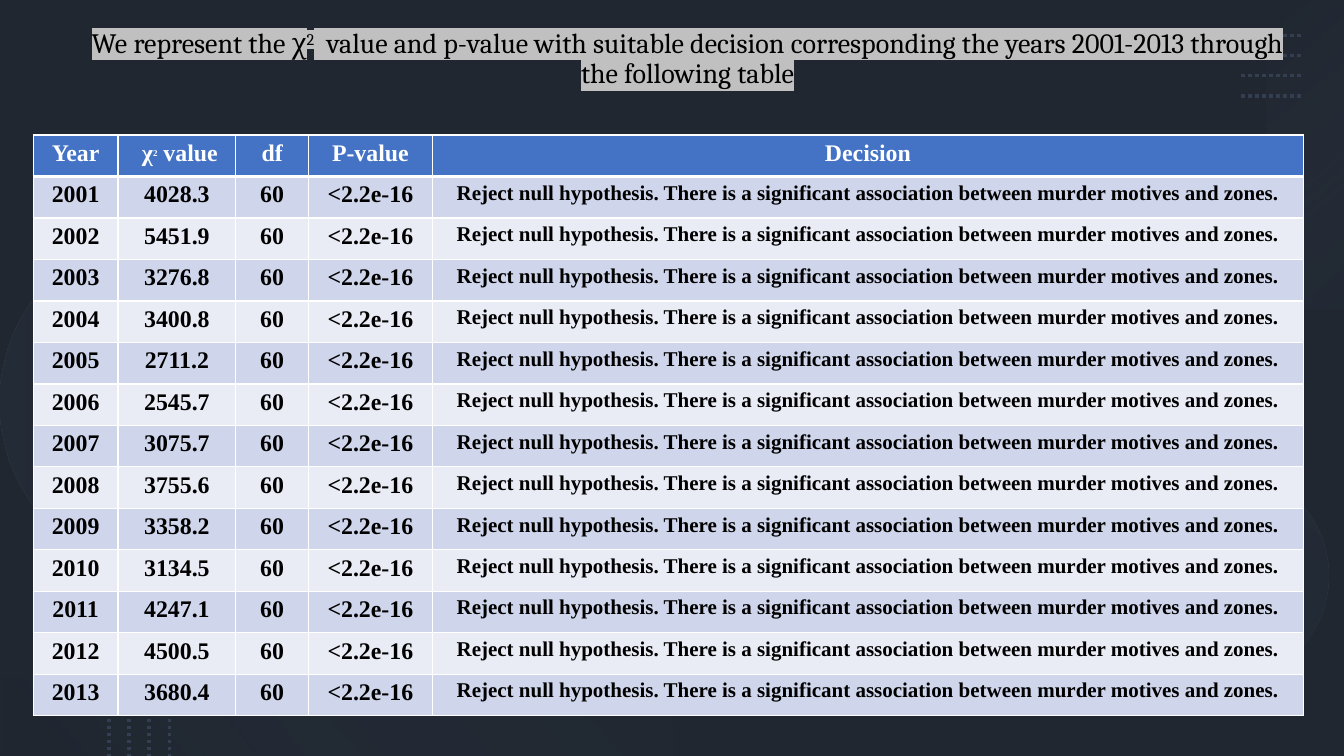
from dataclasses import dataclass

from lxml import etree
from pptx import Presentation
from pptx.dml.color import RGBColor
from pptx.enum.dml import MSO_LINE
from pptx.enum.shapes import MSO_CONNECTOR, MSO_SHAPE
from pptx.enum.text import MSO_ANCHOR, PP_ALIGN
from pptx.oxml.ns import qn
from pptx.util import Inches, Pt

RECTANGLE = MSO_SHAPE.RECTANGLE
OVAL = MSO_SHAPE.OVAL
STRAIGHT = MSO_CONNECTOR.STRAIGHT
DOTTED = MSO_LINE.ROUND_DOT
CENTER = PP_ALIGN.CENTER
BOTTOM = MSO_ANCHOR.BOTTOM


@dataclass(frozen=True)
class Theme:
    slate: str = "44546A"
    shade: str = "000000"
    deep: str = "222A35"
    dusk: str = "333F50"
    mist: str = "ADB9CA"
    haze: str = "8497B0"
    ink: str = "000000"
    paper: str = "FFFFFF"
    highlight: str = "C0C0C0"
    header: str = "4472C4"
    bands: tuple[str, str] = ("CFD5EA", "E9EBF5")
    title_font: str = "Cambria"
    table_font: str = "Times New Roman"
    title_size: float = 20
    cell_size: float = 17
    decision_size: float = 15
    exponent_size: float = 11
    dot_width: float = 2.5
    border: float = 1
    header_border: float = 3


@dataclass(frozen=True)
class Stop:
    position: int
    color: str
    opacity: int


@dataclass(frozen=True)
class Panel:
    left: float
    top: float
    width: float
    height: float
    stops: tuple[Stop, ...]
    preset: int = RECTANGLE
    rotation: float = 0
    angle: int = 0


@dataclass(frozen=True)
class Dots:
    start: tuple[float, float]
    end: tuple[float, float]
    step: tuple[float, float]


@dataclass(frozen=True)
class Piece:
    text: str
    size: float
    raised: bool = False


THEME = Theme()
WIDTH, HEIGHT = 13.33, 7.5

PANELS = (
    Panel(0, 0, WIDTH, HEIGHT, (Stop(0, THEME.slate, 100),)),
    Panel(0, 0, WIDTH, HEIGHT, (Stop(0, THEME.shade, 53),)),
    Panel(0, 2.27, 3.44, 3.44, (Stop(0, THEME.dusk, 20), Stop(100, THEME.deep, 10)), OVAL, 270, 90),
    Panel(11.1, 4.67, 2.08, 2.08, (Stop(0, THEME.dusk, 10), Stop(100, THEME.dusk, 20)), OVAL, 210, 90),
    Panel(11.42, 1.14, 3.06, 0.78, (Stop(0, THEME.mist, 0), Stop(100, THEME.dusk, 10)), RECTANGLE, 270, 140),
    Panel(0, 6.72, 6.67, 0.78, (Stop(10, THEME.deep, 10), Stop(100, THEME.haze, 0)), RECTANGLE, 180, 140),
)
DOT_GROUPS = (
    Dots((12.31, 0.35), (12.91, 0.35), (0, 0.2)),
    Dots((1.08, 6.09), (1.08, 7.5), (0.2, 0)),
)
DOTS_PER_GROUP = 4

TITLE = (
    Piece("We represent the χ", THEME.title_size),
    Piece("2", THEME.title_size, True),
    Piece("  value and p-value with suitable decision corresponding the years 2001-2013 "
          "through the following table", THEME.title_size),
)
CHI_HEADER = (
    Piece(" χ", THEME.cell_size),
    Piece("2", THEME.exponent_size, True),
    Piece(" value", THEME.cell_size),
)
FIRST_YEAR = 2001
CHI_VALUES = ("4028.3", "5451.9", "3276.8", "3400.8", "2711.2", "2545.7", "3075.7",
              "3755.6", "3358.2", "3134.5", "4247.1", "4500.5", "3680.4")
DECISION = ("Reject null hypothesis. There is a significant association "
            "between murder motives and zones.")
COLUMN_WIDTHS = (0.84, 1.17, 0.72, 1.23, 8.64)
TABLE_HEIGHT = 5.76


def add_color(parent, color: str, opacity: int = 100) -> None:
    srgb = etree.SubElement(parent, qn("a:srgbClr"), val=color)
    if opacity < 100:
        etree.SubElement(srgb, qn("a:alpha"), val=str(opacity * 1000))


def draw_panel(slide, panel: Panel) -> None:
    shape = slide.shapes.add_shape(panel.preset, Inches(panel.left), Inches(panel.top),
                                   Inches(panel.width), Inches(panel.height))
    shape.rotation = panel.rotation
    shape.shadow.inherit = False
    shape.line.fill.background()
    geometry = shape._element.spPr.find(qn("a:prstGeom"))
    if len(panel.stops) == 1:
        fill = etree.Element(qn("a:solidFill"))
        add_color(fill, panel.stops[0].color, panel.stops[0].opacity)
    else:
        fill = etree.Element(qn("a:gradFill"), rotWithShape="1")
        stop_list = etree.SubElement(fill, qn("a:gsLst"))
        for stop in panel.stops:
            entry = etree.SubElement(stop_list, qn("a:gs"), pos=str(stop.position * 1000))
            add_color(entry, stop.color, stop.opacity)
        etree.SubElement(fill, qn("a:lin"), ang=str(panel.angle * 60000), scaled="0")
    geometry.addnext(fill)


def draw_dots(slide, dots: Dots) -> None:
    for index in range(DOTS_PER_GROUP):
        dx, dy = (index * step for step in dots.step)
        row = slide.shapes.add_connector(
            STRAIGHT, Inches(dots.start[0] + dx), Inches(dots.start[1] + dy),
            Inches(dots.end[0] + dx), Inches(dots.end[1] + dy))
        row.line.color.rgb = RGBColor.from_string(THEME.dusk)
        row.line.width = Pt(THEME.dot_width)
        row.line.dash_style = DOTTED
        etree.SubElement(row._element.spPr, qn("a:effectLst"))


def write(paragraph, pieces: tuple[Piece, ...], font: str, color: str,
          bold: bool = False, highlight: str = "") -> None:
    paragraph.alignment = CENTER
    for piece in pieces:
        run = paragraph.add_run()
        run.text = piece.text
        run.font.size = Pt(piece.size)
        run.font.bold = bold
        run.font.color.rgb = RGBColor.from_string(color)
        run.font.name = font
        properties = run.font._element
        if piece.raised:
            properties.set("baseline", "30000")
        if highlight:
            marker = etree.Element(qn("a:highlight"))
            add_color(marker, highlight)
            properties.find(qn("a:solidFill")).addnext(marker)


def draw_title(slide) -> None:
    title = slide.shapes.add_textbox(Inches(0.73), Inches(0.28), Inches(12.18), Inches(0.66))
    title.text_frame.word_wrap = True
    title.text_frame.vertical_anchor = BOTTOM
    paragraph = title.text_frame.paragraphs[0]
    paragraph.line_spacing = 0.9
    paragraph.space_after = Pt(6)
    write(paragraph, TITLE, THEME.title_font, THEME.ink, highlight=THEME.highlight)


def set_borders(cell, row: int) -> None:
    heavy_side = {0: "lnB", 1: "lnT"}.get(row)
    for side in ("lnL", "lnR", "lnT", "lnB"):
        width = THEME.header_border if side == heavy_side else THEME.border
        line = etree.SubElement(cell._tc.get_or_add_tcPr(), qn(f"a:{side}"), w=str(Pt(width)))
        add_color(etree.SubElement(line, qn("a:solidFill")), THEME.paper)


def draw_table(slide) -> None:
    size = THEME.cell_size
    rows = [((Piece("Year", size),), CHI_HEADER, (Piece("df", size),),
             (Piece("P-value", size),), (Piece("Decision", size),))]
    for year, chi in enumerate(CHI_VALUES, FIRST_YEAR):
        figures = tuple((Piece(text, size),) for text in (str(year), chi, "60", "<2.2e-16"))
        rows.append(figures + ((Piece(DECISION, THEME.decision_size),),))
    table = slide.shapes.add_table(len(rows), len(COLUMN_WIDTHS), Inches(0.33), Inches(1.34),
                                   Inches(sum(COLUMN_WIDTHS)), Inches(TABLE_HEIGHT)).table
    for column, width in zip(table.columns, COLUMN_WIDTHS):
        column.width = Inches(width)
    for r, row in enumerate(rows):
        table.rows[r].height = Inches(TABLE_HEIGHT / len(rows))
        background = THEME.bands[(r - 1) % 2] if r else THEME.header
        for c, pieces in enumerate(row):
            cell = table.cell(r, c)
            set_borders(cell, r)
            cell.fill.solid()
            cell.fill.fore_color.rgb = RGBColor.from_string(background)
            write(cell.text_frame.paragraphs[0], pieces, THEME.table_font,
                  THEME.ink if r else THEME.paper, bold=True)


def main() -> None:
    deck = Presentation()
    deck.slide_width, deck.slide_height = Inches(WIDTH), Inches(HEIGHT)
    slide = deck.slides.add_slide(deck.slide_layouts[6])
    for panel in PANELS:
        draw_panel(slide, panel)
    for dots in DOT_GROUPS:
        draw_dots(slide, dots)
    draw_title(slide)
    draw_table(slide)
    deck.save("out.pptx")


if __name__ == "__main__":
    main()
